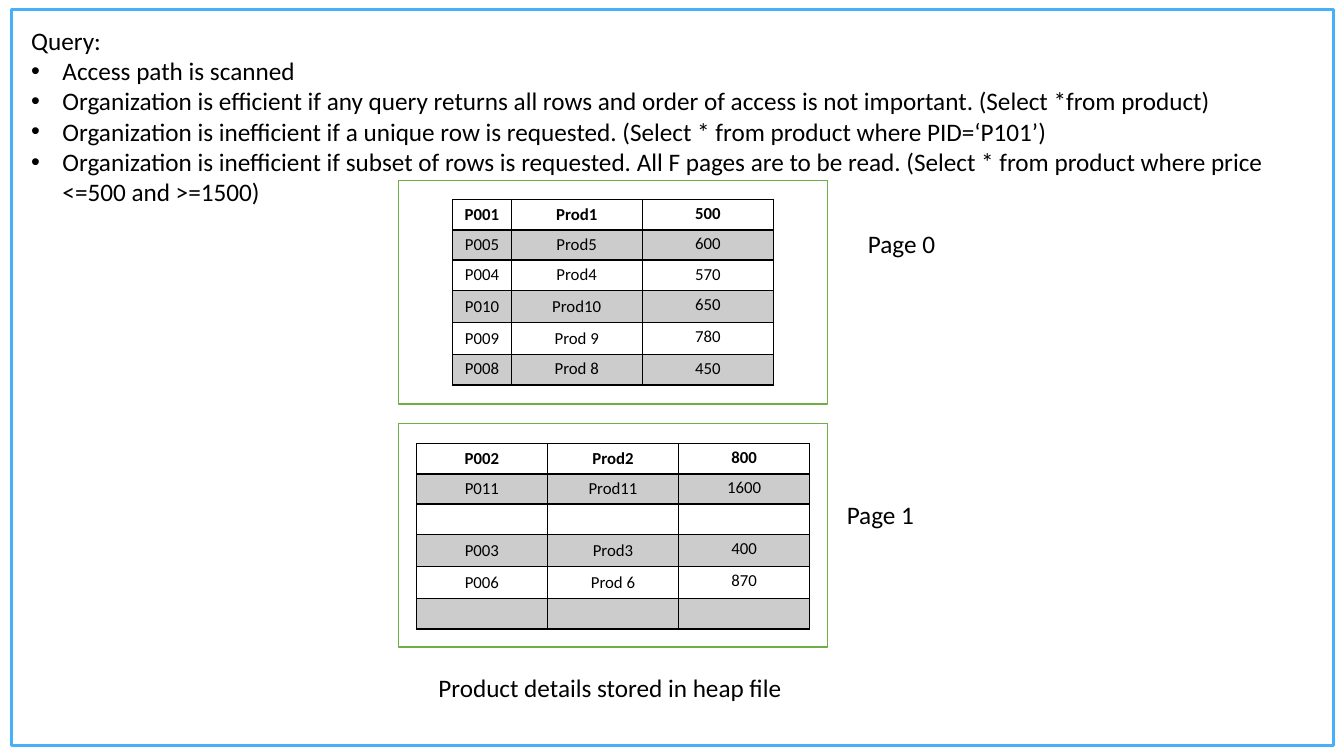
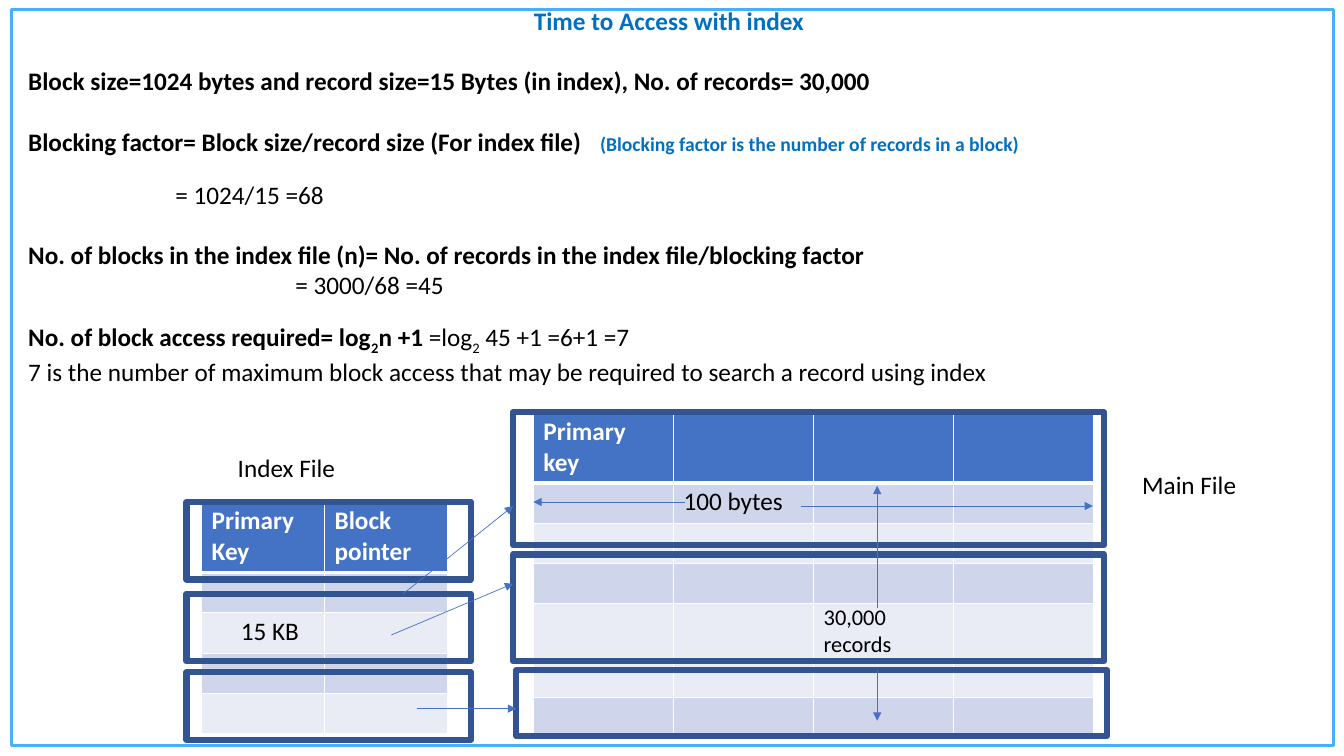
import pptx
import pptx.util
import pptx.dml.color
import pptx.enum.shapes
import pptx.enum.text
import pptx.oxml.ns
import lxml.etree

PX = 9144  # EMU in one px, 100 px to the inch
FONT = "Calibri"
BLACK, WHITE, GREY = "000000", "FFFFFF", "CCCCCC"
SKY, BLUE, NAVY, GREEN, TITLE = "46B0F9", "4472C4", "325491", "70AD47", "0070C0"
DARK, PALE = "CFD5EA", "E9EBF5"

hue = pptx.dml.color.RGBColor.from_string
qn = pptx.oxml.ns.qn
sub = lxml.etree.SubElement
Pt = pptx.util.Pt
TOP = pptx.enum.text.MSO_ANCHOR.TOP
MID = pptx.enum.text.MSO_ANCHOR.MIDDLE
LEFT = pptx.enum.text.PP_ALIGN.LEFT
MIDST = pptx.enum.text.PP_ALIGN.CENTER


def write(para, text, size=18, color=BLACK, bold=False, base=0, track=0):
    run = para.add_run()
    run.text = text
    run.font.name = FONT
    run.font.size = Pt(size)
    run.font.bold = bold
    run.font.color.rgb = hue(color)
    if base:
        run.font._element.set("baseline", str(base * 1000))
    if track:
        run.font._element.set("spc", str(track * 100))


def block(slide, place, edge, width, fill=None):
    rect = pptx.enum.shapes.MSO_SHAPE.RECTANGLE
    shape = slide.shapes.add_shape(rect, *[n * PX for n in place])
    shape.shadow.inherit = False
    shape.line.color.rgb = hue(edge)
    shape.line.width = Pt(width)
    if fill:
        shape.fill.solid()
        shape.fill.fore_color.rgb = hue(fill)
    else:
        shape.fill.background()
    return shape


deck = pptx.Presentation()
deck.slide_width, deck.slide_height = 1333 * PX, 750 * PX
heap, index = [deck.slides.add_slide(deck.slide_layouts[1]) for _ in range(2)]

# Shared border, kept on the master behind everything
border = block(heap, (11, 9, 1312, 731), SKY, 2.25)
deck.slide_master.shapes._spTree.insert(2, border._element)

# Body lines: space before in points, indent in px, runs
bold = {"bold": True}
points = [
    "Access path is scanned",
    "Organization is efficient if any query returns all rows and order of access is not important. (Select *from product)",
    "Organization is inefficient if a unique row is requested. (Select * from product where PID=‘P101’)",
    "Organization is inefficient if subset of rows is requested. All F pages are to be read. (Select * from product where price <=500 and >=1500)",
]
query = [(0, 31, [(text, {})]) for text in points]
steps = [
    (0, 0, [("Block size=1024 bytes and record size=15 Bytes (in index), No. of records= 30,000", bold)]),
    (22, 0, [("Blocking factor= Block size/record size (For index file)", bold),
             (" ", {"bold": True, "track": 9}),
             ("(Blocking factor is the number of records in a block)",
              {"size": 14, "color": TITLE, "bold": True})]),
    (16, 146, [("= 1024/15 =68", {})]),
    (21, 0, [("No. of blocks in the index file (n)= No. of records in the index file/blocking factor", bold)]),
    (0, 265, [("= 3000/68 =45", {})]),
    (16, 0, [("No. of block access required= log", bold),
             ("2", {"bold": True, "base": -25}), ("n +1 ", bold),
             ("=log", {}), ("2", {"base": -25}), (" 45 +1 =6+1 =7", {})]),
    (0, 0, [("7 is the number of maximum block access that may be required to search a record using index", {})]),
]

# Titles and lists
for slide, title, align, form, spot, area, lines, dots in [
    (heap, "Query:", LEFT, {}, (21, 20, 1259, 40), (21, 50, 1259, 192), query, True),
    (index, "Time to Access with index", MIDST, {"color": TITLE, "bold": True},
     (18, 0, 1291, 40), (18, 60, 1291, 360), steps, False),
]:
    head, body = slide.shapes.title, slide.placeholders[1]
    for holder, place in ((head, spot), (body, area)):
        holder.left, holder.top, holder.width, holder.height = [n * PX for n in place]
        holder.text_frame.auto_size = pptx.enum.text.MSO_AUTO_SIZE.NONE
        holder.text_frame.vertical_anchor = TOP
    para = head.text_frame.paragraphs[0]
    para.alignment = align
    write(para, title, **form)

    for i, (space, inset, runs) in enumerate(lines):
        para = body.text_frame.add_paragraph() if i else body.text_frame.paragraphs[0]
        props = para._p.get_or_add_pPr()
        props.set("marL", str(inset * PX))
        props.set("indent", str(-inset * PX if dots else 0))
        if dots:
            sub(props, qn("a:buFont"), typeface="Arial")
            sub(props, qn("a:buChar"), char="•")
        else:
            sub(props, qn("a:buNone"))
        para.space_before = Pt(space)
        for text, form in runs:
            write(para, text, **form)

# Heap pages
for top in (179, 420):
    block(heap, (395, top, 426, 222), GREEN, 1, WHITE)

# Tables
page = {"size": 12, "ink": BLACK, "edge": BLACK, "rule": 2, "align": MIDST,
        "fills": (None, GREY, None), "highs": (30, 30, 30, 32, 32, 30)}
file = {"size": 18, "ink": WHITE, "edge": WHITE, "rule": 3, "align": LEFT,
        "fills": (BLUE, DARK, PALE)}
grids = [
    (heap, 449, 198, (58, 130, 130), page, [
        ["P001", "Prod1", "500"], ["P005", "Prod5", "600"], ["P004", "Prod4", "570"],
        ["P010", "Prod10", "650"], ["P009", "Prod 9", "780"], ["P008", "Prod 8", "450"]]),
    (heap, 413, 440, (130, 130, 130), page, [
        ["P002", "Prod2", "800"], ["P011", "Prod11", "1600"], ["", "", ""],
        ["P003", "Prod3", "400"], ["P006", "Prod 6", "870"], ["", "", ""]]),
    (index, 200, 498, (122, 122), {**file, "highs": (70, 40, 40, 40, 40)}, [
        ["Primary Key", "Block pointer"], ["", ""], ["15 KB", ""], ["", ""], ["", ""]]),
    (index, 529, 409, (139, 139, 139, 139), {**file, "highs": (70, 40, 40, 40, 93, 40)}, [
        ["Primary key", "", "", ""], ["", "100 bytes", "", ""], [""] * 4, [""] * 4,
        ["", "", "30,000 records", ""], [""] * 4]),
]
for slide, left, top, wides, look, rows in grids:
    place = [n * PX for n in (left, top, sum(wides), sum(look["highs"]))]
    table = slide.shapes.add_table(len(rows), len(wides), *place).table
    for col, wide in zip(table.columns, wides):
        col.width = wide * PX
    for r, row in enumerate(rows):
        table.rows[r].height = look["highs"][r] * PX
        for c, text in enumerate(row):
            cell = table.cell(r, c)
            fill = look["fills"][0 if r == 0 else 2 - r % 2]
            if fill:
                cell.fill.solid()
                cell.fill.fore_color.rgb = hue(fill)
            else:
                cell.fill.background()
            if look is page and c < 2 and r < 5:
                cell.vertical_anchor = MID
            # Slim margins keep each row at its height and text clear of the blocks
            count = "records" in text
            cell.margin_top = 0 if count else 4 * PX
            cell.margin_bottom = 4 * PX
            if text == "15 KB":
                cell.margin_left = 39 * PX
            para = cell.text_frame.paragraphs[0]
            para.alignment = look["align"]
            if text:
                write(para, text, size=16 if count else look["size"],
                      color=BLACK if r else look["ink"], bold=r == 0)
            else:
                sub(para._p, qn("a:endParaRPr"), sz=str(look["size"] * 100))
            # Borders, with a heavier rule under the first row
            props = cell._tc.get_or_add_tcPr()
            for n, side in enumerate("LRTB"):
                thick = look["rule"] if (r, side) in ((0, "B"), (1, "T")) else 1
                line = lxml.etree.Element(qn("a:ln" + side), w=str(Pt(thick)))
                paint = sub(line, qn("a:solidFill"))
                sub(paint, qn("a:srgbClr"), val=look["edge"])
                props.insert(n, line)

# Blocks of the main file and the index file
for place in [
    (509, 409, 586, 132), (509, 550, 586, 106), (512, 665, 586, 65),
    (185, 498, 282, 77), (185, 589, 282, 67), (185, 667, 282, 67),
]:
    block(index, place, NAVY, 4.5)

# Arrows: record size, record count, index pointers
for ends in [
    (794, 502, 1084, 502), (679, 498, 529, 498),
    (870, 603, 870, 482), (870, 665, 870, 715),
    (400, 589, 509, 502), (388, 630, 509, 579), (414, 703, 512, 703),
]:
    kind = pptx.enum.shapes.MSO_CONNECTOR.STRAIGHT
    arrow = index.shapes.add_connector(kind, *[n * PX for n in ends])
    arrow.line.color.rgb = hue(BLUE)
    arrow.line.width = Pt(0.5)
    sub(arrow.line._get_or_add_ln(), qn("a:tailEnd"), type="triangle")
    sub(arrow._element.spPr, qn("a:effectLst"))

# Labels
for slide, text, left, top, wide in [
    (heap, "Page 0", 851, 222, 108),
    (heap, "Page 1", 830, 490, 108),
    (heap, "Product details stored in heap file", 425, 662, 596),
    (index, "Index File", 226, 444, 174),
    (index, "Main File", 1123, 461, 174),
]:
    label = slide.shapes.add_textbox(*[n * PX for n in (left, top, wide, 40)])
    label.text_frame.word_wrap = True
    write(label.text_frame.paragraphs[0], text)

deck.save("out.pptx")
